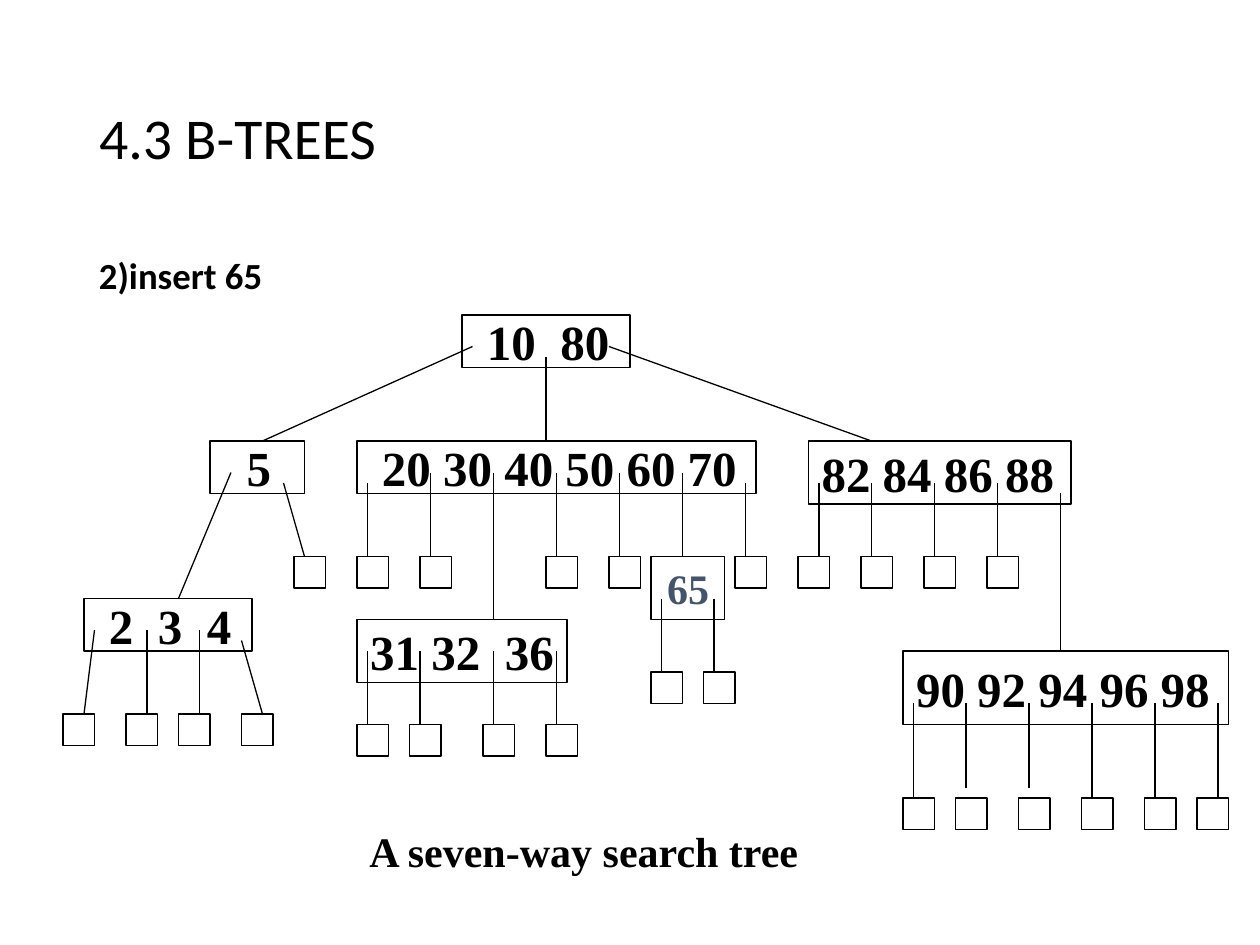
from lxml.etree import SubElement
from pptx import Presentation
from pptx.dml.color import RGBColor
from pptx.enum.shapes import MSO_CONNECTOR, MSO_SHAPE
from pptx.enum.text import MSO_ANCHOR, MSO_AUTO_SIZE, PP_ALIGN
from pptx.oxml.ns import qn
from pptx.util import Pt

EMU_PER_PX = 9525
COLORS = {"ink": "000000", "inserted": "44546A"}
HEADING = {"name": "Calibri", "size": Pt(33), "bold": False}
STEP = {"name": "Calibri", "size": Pt(21), "bold": True}
KEYS = {"name": "Times New Roman", "size": Pt(28), "bold": True}
SMALL_KEYS = {**KEYS, "size": Pt(24)}
LEAF_SIZE = 24
INSET = 10
KEY_SPACE = 9

# text, box (left, top, width, height), extra left inset, tab stops in points
NODES = [
    ("10\t80", (352, 240, 128, 40), KEY_SPACE, [42]),
    ("5", (160, 336, 72, 40), 2 * KEY_SPACE, []),
    ("20 30 40 50 60 70", (272, 336, 304, 40), KEY_SPACE, []),
    ("82 84 86 88", (616, 336, 200, 48), 0, []),
    ("2\t3\t4", (64, 456, 128, 40), KEY_SPACE, [28, 56]),
    ("31 32\t36", (272, 472, 160, 48), 0, [77]),
    ("90 92 94 96 98", (688, 496, 248, 56), 0, []),
]
# top of a row: left edges of its empty leaves
LEAVES = {
    424: [224, 272, 320, 416, 464, 560, 608, 656, 704, 752],
    512: [496, 536],
    544: [48, 96, 136, 184],
    552: [272, 312, 368, 416],
    608: [688, 728, 776, 824, 872, 912],
}
# (top, bottom): x of each vertical branch
DROPS = {
    (272, 336): [416],
    (368, 424): [280, 568, 624, 664, 712, 760],
    (360, 424): [328, 424, 472, 520],
    (360, 472): [376],
    (376, 496): [808],
    (456, 512): [504, 544],
    (480, 544): [112, 152],
    (496, 552): [280, 320, 376, 424],
    (536, 600): [736, 784],
    (536, 608): [696, 832, 880, 928],
}
SLANTS = [
    (360, 264, 200, 336), (464, 264, 664, 336),
    (176, 360, 136, 456), (216, 368, 232, 424),
    (72, 480, 64, 544), (184, 488, 200, 544),
]


def px(*lengths):
    return [length * EMU_PER_PX for length in lengths]


def apply(target, values):
    for name, value in values.items():
        setattr(target, name, value)


class TreeSlide:
    def __init__(self, presentation):
        self.slide = presentation.slides.add_slide(presentation.slide_layouts[5])
        self.shapes = self.slide.shapes

    def set_text(self, shape, text, font, color="ink", tabs=(), paragraph_format=None,
                 **frame_format):
        frame = shape.text_frame
        apply(frame, {"auto_size": MSO_AUTO_SIZE.NONE, **frame_format})
        paragraph = frame.paragraphs[0]
        apply(paragraph, {"alignment": PP_ALIGN.LEFT, **(paragraph_format or {})})
        if tabs:
            tab_list = SubElement(paragraph._p.get_or_add_pPr(), qn("a:tabLst"))
            for position in tabs:
                SubElement(tab_list, qn("a:tab"), pos=str(Pt(position)), algn="l")
        run = paragraph.add_run()
        run.text = text
        apply(run.font, font)
        run.font.color.rgb = RGBColor.from_string(COLORS[color])

    def outline(self, line):
        line.color.rgb = RGBColor.from_string(COLORS["ink"])
        line.width = Pt(0.75)

    def title(self, text, box):
        title = self.shapes.title
        apply(title, dict(zip(("left", "top", "width", "height"), px(*box))))
        self.set_text(title, text, HEADING, paragraph_format={"line_spacing": 0.9},
                      vertical_anchor=MSO_ANCHOR.MIDDLE)

    def label(self, text, box, font, **paragraph_format):
        self.set_text(self.shapes.add_textbox(*px(*box)), text, font,
                      paragraph_format=paragraph_format, word_wrap=True)

    def rectangle(self, box):
        shape = self.shapes.add_shape(MSO_SHAPE.RECTANGLE, *px(*box))
        shape.shadow.inherit = False
        shape.fill.background()
        self.outline(shape.line)
        return shape

    def node(self, text, box, indent=0, tabs=(), font=KEYS, color="ink", **paragraph_format):
        self.set_text(self.rectangle(box), text, font, color, tabs, paragraph_format,
                      word_wrap=False, vertical_anchor=MSO_ANCHOR.MIDDLE,
                      margin_left=px(INSET + indent)[0])

    def branch(self, *ends):
        connector = self.shapes.add_connector(MSO_CONNECTOR.STRAIGHT, *px(*ends))
        self.outline(connector.line)
        SubElement(connector._element.spPr, qn("a:effectLst"))


def main():
    presentation = Presentation()
    presentation.slide_width, presentation.slide_height = px(960, 720)
    tree = TreeSlide(presentation)
    tree.title("4.3 B-TREES", (66, 38, 828, 139))
    tree.label("2)insert 65", (66, 192, 828, 457), STEP, line_spacing=0.9)
    for node in NODES:
        tree.node(*node)
    tree.node("65", (496, 424, 56, 48), font=SMALL_KEYS, color="inserted",
              alignment=PP_ALIGN.CENTER)
    for top, lefts in LEAVES.items():
        for left in lefts:
            tree.rectangle((left, top, LEAF_SIZE, LEAF_SIZE))
    for (top, bottom), columns in DROPS.items():
        for x in columns:
            tree.branch(x, top, x, bottom)
    for ends in SLANTS:
        tree.branch(*ends)
    tree.label("A seven-way search tree", (272, 624, 352, 48), SMALL_KEYS)
    presentation.save("out.pptx")


if __name__ == "__main__":
    main()
